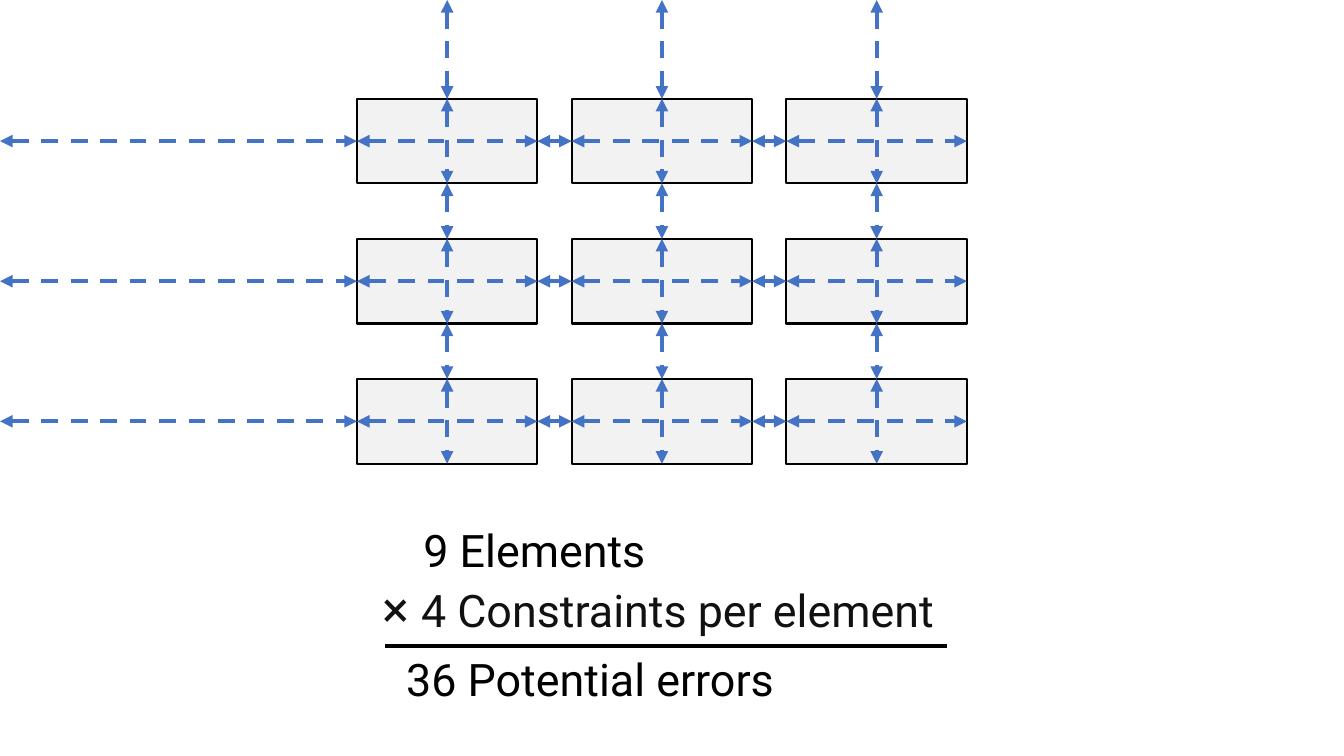
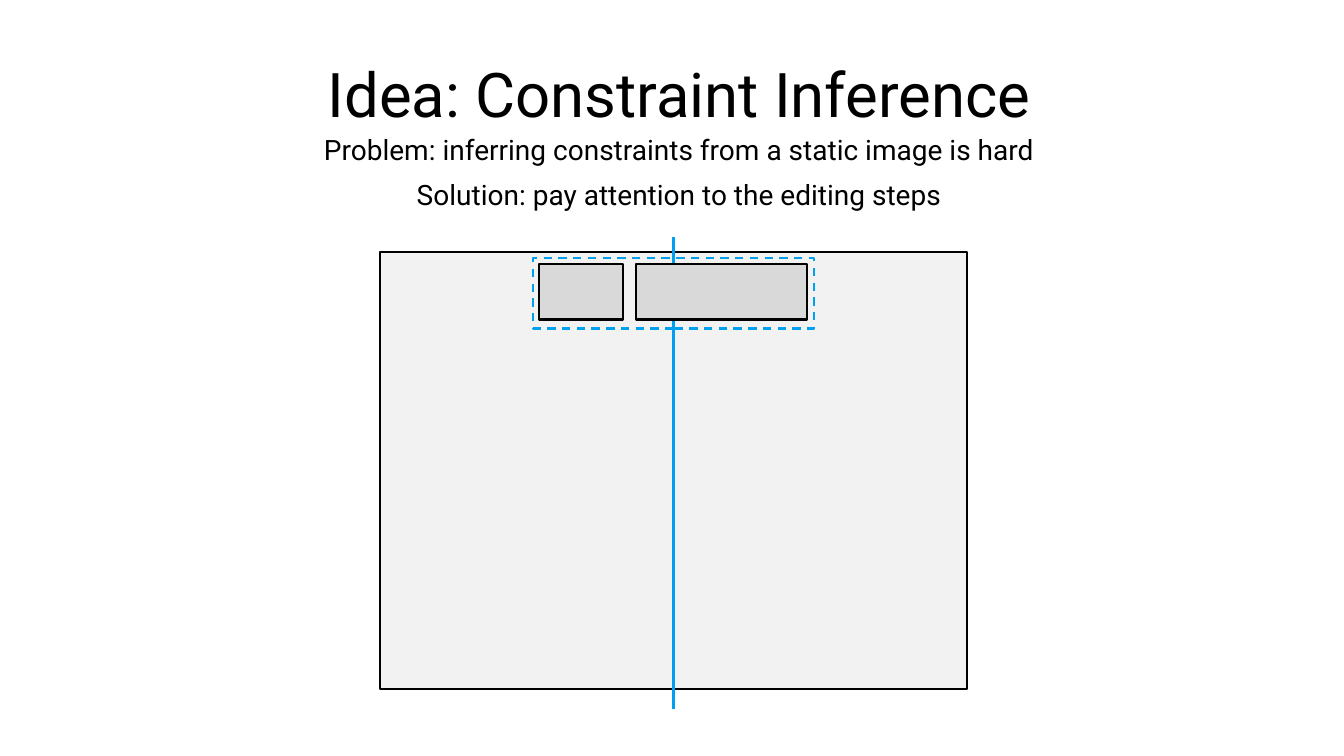
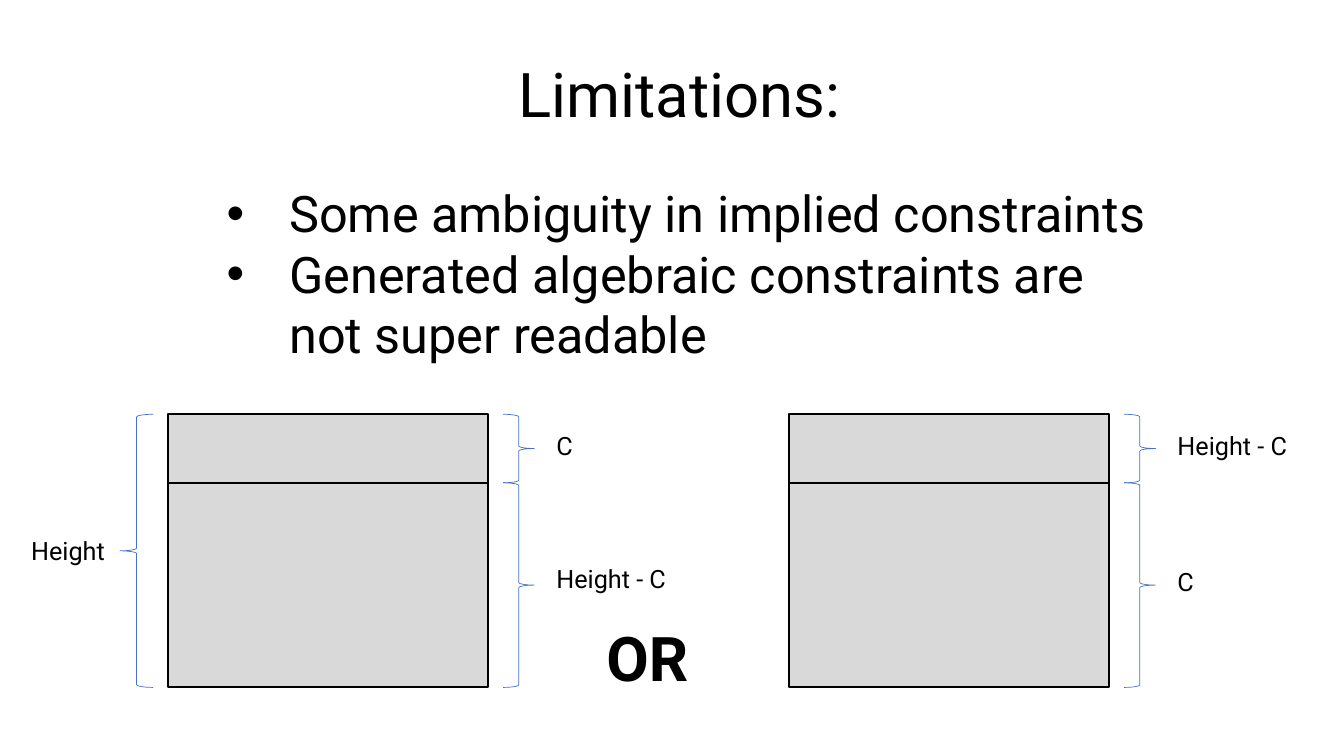
"""Build three slides on layout constraints and how to infer them."""
from lxml import etree
from pptx import Presentation
from pptx.dml.color import RGBColor
from pptx.enum import dml, shapes, text
from pptx.oxml import ns
from pptx.util import Inches, Pt

BLACK = RGBColor(0x00, 0x00, 0x00)
INK = RGBColor(0x11, 0x11, 0x11)
PALE = RGBColor(0xF2, 0xF2, 0xF2)
GREY = RGBColor(0xD9, 0xD9, 0xD9)
BLUE = RGBColor(0x44, 0x72, 0xC4)
SKY = RGBColor(0x00, 0xA0, 0xF0)
FONT = "Roboto"
RECT = shapes.MSO_SHAPE.RECTANGLE
LEFT_BRACE = shapes.MSO_SHAPE.LEFT_BRACE
RIGHT_BRACE = shapes.MSO_SHAPE.RIGHT_BRACE
STRAIGHT = shapes.MSO_CONNECTOR.STRAIGHT
LEFT, CENTER = text.PP_ALIGN.LEFT, text.PP_ALIGN.CENTER


def add_box(s, x, y, w, h, fill=None, line=BLACK, weight=1.5, kind=RECT):
    sp = s.shapes.add_shape(kind, Inches(x), Inches(y), Inches(w), Inches(h))
    sp.shadow.inherit = False
    if fill is None:
        sp.fill.background()
    else:
        sp.fill.solid()
        sp.fill.fore_color.rgb = fill
    sp.line.color.rgb = line
    sp.line.width = Pt(weight)
    return sp


def add_text(s, x, y, w, h, words, size, align=LEFT, title=False):
    if title:
        sp = s.shapes.title
        sp.left, sp.top, sp.width, sp.height = Inches(x), Inches(y), Inches(w), Inches(h)
    else:
        sp = s.shapes.add_textbox(Inches(x), Inches(y), Inches(w), Inches(h))
    tf = sp.text_frame
    tf.word_wrap = True
    tf.auto_size = text.MSO_AUTO_SIZE.NONE
    tf.vertical_anchor = text.MSO_ANCHOR.TOP
    tf.text = words
    for p in tf.paragraphs:
        p.alignment = align
        for r in p.runs:
            r.font.name = FONT
            r.font.size = Pt(size)
            r.font.color.rgb = BLACK
    return tf


prs = Presentation()
prs.slide_width, prs.slide_height = Inches(13.33), Inches(7.5)
title_only, blank = prs.slide_layouts[5], prs.slide_layouts[6]

s = prs.slides.add_slide(blank)
tf = add_text(s, 3.7, 5.14, 5.85, 1.25, "9 Elements\n×", 32)
elements, factor = tf.paragraphs
elements._p.get_or_add_pPr().set("marL", str(Inches(0.4)))
factor.runs[0].font.size = Pt(36)
r = factor.add_run()
r.text = " 4 Constraints per element"
r.font.name = FONT
r.font.size = Pt(32)
for r in factor.runs:
    r.font.color.rgb = INK
sum_line = s.shapes.add_connector(STRAIGHT, Inches(3.82), Inches(6.41), Inches(9.39), Inches(6.41))
sum_line.line.color.rgb = BLACK
sum_line.line.width = Pt(3)
add_text(s, 3.93, 6.42, 5.85, 0.64, "36 Potential errors", 32)

cells = [[add_box(s, 3.54 + 2.13 * col, 0.98 + 1.39 * row, 1.79, 0.84, PALE)
          for col in range(3)] for row in range(3)]
for row in range(3):
    for col in range(3):
        cell = cells[row][col]
        mid_x, mid_y = cell.left + cell.width // 2, cell.top + cell.height // 2
        before = cells[row][col - 1] if col else None
        above = cells[row - 1][col] if row else None
        for start, begin_site, end_site in ((before, 3, 1), (cell, 1, 3), (above, 2, 0), (cell, 0, 2)):
            across = begin_site in (1, 3)
            x, y = (0, mid_y) if across else (mid_x, 0)
            arrow = s.shapes.add_connector(STRAIGHT, x, y, mid_x, mid_y)
            if start is not None:
                arrow.begin_connect(start, begin_site)
            arrow.end_connect(cell, end_site)
            arrow.line.color.rgb = BLUE
            arrow.line.width = Pt(3)
            arrow.line.dash_style = dml.MSO_LINE.DASH
            ln = arrow.line._get_or_add_ln()
            for end in ("a:headEnd", "a:tailEnd"):
                etree.SubElement(ln, ns.qn(end)).set("type", "triangle")

s = prs.slides.add_slide(title_only)
add_text(s, 2.15, 0.5, 9.18, 0.84, "Idea: Constraint Inference", 44, CENTER, title=True)
add_text(s, 3.03, 1.27, 7.41, 0.44, "Problem: inferring constraints from a static image is hard", 20, CENTER)
add_text(s, 3.03, 1.71, 7.41, 0.44, "Solution: pay attention to the editing steps", 20, CENTER)
add_box(s, 3.77, 2.5, 5.82, 4.34, PALE)
guide = s.shapes.add_connector(STRAIGHT, Inches(6.68), Inches(2.35), Inches(6.68), Inches(7.03))
guide.line.color.rgb = SKY
guide.line.width = Pt(1.5)
for x, w in ((5.35, 0.83), (6.31, 1.69)):
    add_box(s, x, 2.62, w, 0.55, GREY)
selection = add_box(s, 5.29, 2.56, 2.78, 0.7, line=SKY)
selection.line.dash_style = dml.MSO_LINE.DASH

s = prs.slides.add_slide(title_only)
add_text(s, 2.15, 0.5, 9.18, 0.84, "Limitations:", 44, CENTER, title=True)
limits = ("Some ambiguity in implied constraints\n"
          "Generated algebraic constraints are not super readable")
tf = add_text(s, 2.15, 1.76, 9.41, 1.92, limits, 36)
for p in tf.paragraphs:
    pPr = p._p.get_or_add_pPr()
    pPr.set("marL", str(Inches(0.62)))
    pPr.set("indent", str(-Inches(0.62)))
    etree.SubElement(pPr, ns.qn("a:buFont")).set("typeface", "Arial")
    etree.SubElement(pPr, ns.qn("a:buChar")).set("char", "•")

for x, upper, lower, lower_y in ((1.67, "C", "Height - C", 5.54), (7.83, "Height - C", "C", 5.57)):
    for y, h, words, label_y in ((4.11, 0.68, upper, 4.22), (4.79, 2.03, lower, lower_y)):
        add_box(s, x, y, 3.17, h, GREY)
        add_box(s, x + 3.32, y, 0.31, h, line=BLUE, weight=0.5, kind=RIGHT_BRACE)
        add_text(s, x + 3.75, label_y, 1.42, 0.4, words, 18)
add_box(s, 1.19, 4.11, 0.33, 2.71, line=BLUE, weight=0.5, kind=LEFT_BRACE)
add_text(s, 0.21, 5.26, 1.42, 0.4, "Height", 18)
tf = add_text(s, 5.88, 6.1, 1.08, 0.84, "OR", 44, CENTER)
tf.paragraphs[0].runs[0].font.bold = True

for s in prs.slides:
    for sp in s.shapes:
        if sp.shape_type == shapes.MSO_SHAPE_TYPE.LINE:
            etree.SubElement(sp._element.spPr, ns.qn("a:effectLst"))

prs.save("out.pptx")
